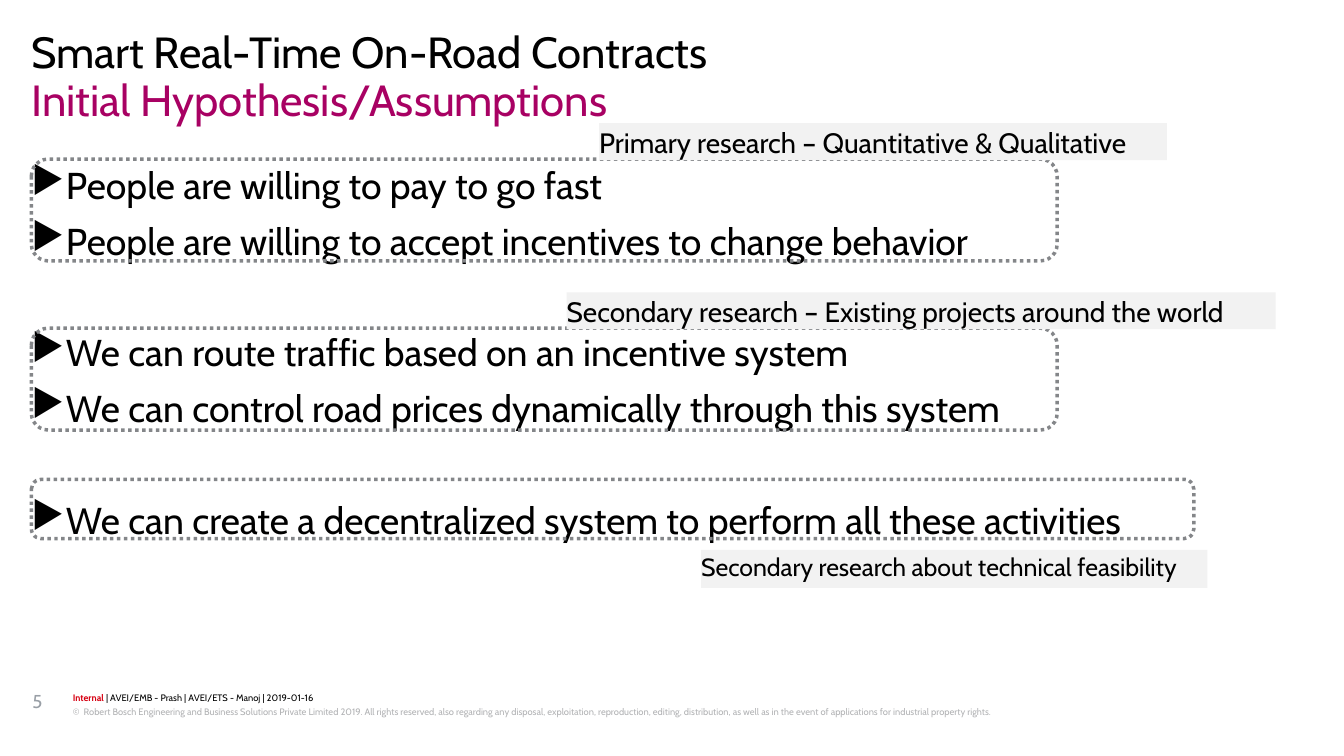
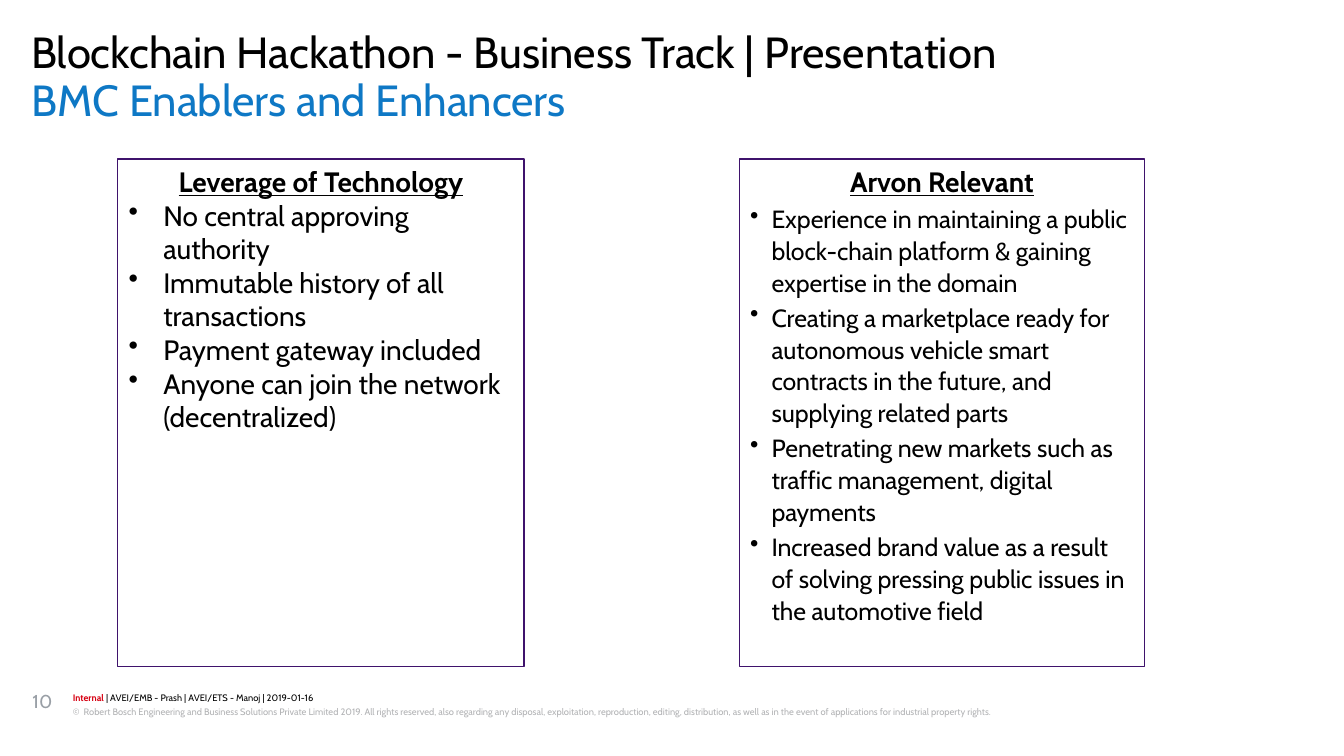
import dataclasses

import lxml.etree
import pptx
import pptx.dml.color
import pptx.enum.dml
import pptx.enum.shapes
import pptx.enum.text
import pptx.oxml.ns
import pptx.util

Inches = pptx.util.Inches
Pt = pptx.util.Pt
Shapes = pptx.enum.shapes.MSO_SHAPE
Align = pptx.enum.text.PP_ALIGN


@dataclasses.dataclass(frozen=True)
class Theme:
    font: str = "Cabin"
    black: str = "000000"
    magenta: str = "A80163"
    blue: str = "0E78C5"
    purple: str = "3F136C"
    red: str = "D70012"
    frame_grey: str = "848689"
    label_grey: str = "F2F2F2"
    number_grey: str = "999FA6"
    legal_grey: str = "B2B3B5"
    title_size: int = 28
    body_size: int = 24
    panel_size: int = 18
    small_size: int = 16
    number_size: int = 12
    footer_size: int = 6
    title_spacing: float = 0.89
    spacing: float = 1.07
    left: float = 0.28
    width: float = 11.43
    top: float = 1.42


THEME = Theme()
OWNERS = "| AVEI/EMB - Prash | AVEI/ETS - Manoj | 2019-01-16"
LEGAL = (
    "©  Robert Bosch Engineering and Business Solutions Private Limited 2019. "
    "All rights reserved, also regarding any disposal, exploitation, reproduction, "
    "editing, distribution, as well as in the event of applications for industrial "
    "property rights."
)


def rgb(value):
    return pptx.dml.color.RGBColor.from_string(value)


def write(tf, text, size, color=THEME.black, bold=False, underline=False,
          align=Align.LEFT, spacing=1.0, before=0, after=0, bullet=None,
          indent=0, same_line=False):
    """Add a paragraph, or with same_line a run to the last paragraph."""
    p = tf.paragraphs[-1]
    if not same_line:
        if p.runs:
            p = tf.add_paragraph()
            p.space_before = Pt(before)
        if bullet:
            pPr = p._p.get_or_add_pPr()
            pPr.set("marL", str(Inches(indent)))
            pPr.set("indent", str(-Inches(indent)))
            lxml.etree.SubElement(pPr, pptx.oxml.ns.qn("a:buChar"), char=bullet)
        p.alignment = align
        p.line_spacing = spacing
        p.space_after = Pt(after)
    r = p.add_run()
    r.text = text
    r.font.name = THEME.font
    r.font.size = Pt(size)
    r.font.bold = bold
    r.font.underline = underline
    r.font.color.rgb = rgb(color)


class Deck:
    def __init__(self, theme):
        self.theme = theme
        self.prs = pptx.Presentation()
        self.prs.slide_width = Inches(12)
        self.prs.slide_height = Inches(6.75)
        self.s = None

    def frame(self, sp, inset=(0, 0)):
        """Prepare a shape's text frame; inset is (sides, top and bottom)."""
        tf = sp.text_frame
        tf.word_wrap = True
        tf.auto_size = pptx.enum.text.MSO_AUTO_SIZE.NONE
        tf.vertical_anchor = pptx.enum.text.MSO_ANCHOR.TOP
        tf.margin_left = tf.margin_right = Inches(inset[0])
        tf.margin_top = tf.margin_bottom = Inches(inset[1])
        return tf

    def text_box(self, x, y, w, h):
        return self.frame(self.s.shapes.add_textbox(
            Inches(x), Inches(y), Inches(w), Inches(h)))

    def shape(self, kind, x, y, w, h, fill=None, line=None, weight=0.75):
        sp = self.s.shapes.add_shape(
            kind, Inches(x), Inches(y), Inches(w), Inches(h))
        sp.shadow.inherit = False
        if fill:
            sp.fill.solid()
            sp.fill.fore_color.rgb = rgb(fill)
        else:
            sp.fill.background()
        if line:
            sp.line.color.rgb = rgb(line)
            sp.line.width = Pt(weight)
        else:
            sp.line.fill.background()
        return sp

    def slide(self, number, topic, title, title_color):
        t = self.theme
        self.s = self.prs.slides.add_slide(self.prs.slide_layouts[5])
        sp = self.s.shapes.title
        sp.left, sp.top = Inches(t.left), Inches(0.71)
        sp.width, sp.height = Inches(t.width), Inches(0.42)
        write(self.frame(sp), title, t.title_size, title_color,
              spacing=t.title_spacing)
        write(self.text_box(t.left, 0.28, t.width, 0.42), topic, t.title_size,
              spacing=t.title_spacing)
        self.footer(number)

    def footer(self, number):
        t = self.theme
        tf = self.text_box(0.65, 6.17, 10.01, 0.12)
        write(tf, "Internal ", t.footer_size, t.red, bold=True,
              spacing=t.spacing, after=1)
        write(tf, OWNERS, t.footer_size, same_line=True)
        write(self.text_box(0.65, 6.3, 10.01, 0.24), LEGAL, t.footer_size,
              t.legal_grey, spacing=t.spacing, after=1)
        write(self.text_box(0.29, 6.16, 0.32, 0.45), str(number),
              t.number_size, t.number_grey)

    def hypotheses(self, groups, group_gap):
        t = self.theme
        tf = self.text_box(t.left, t.top, t.width, 4.56)
        for group in groups:
            for i, text in enumerate(group):
                write(tf, text, t.body_size, spacing=t.spacing,
                      before=5 if i else group_gap, bullet="▶", indent=0.28)

    def dotted_frame(self, y, w, h):
        sp = self.shape(Shapes.ROUNDED_RECTANGLE, self.theme.left, y, w, h,
                        line=self.theme.frame_grey, weight=2.25)
        sp.line.dash_style = pptx.enum.dml.MSO_LINE.ROUND_DOT

    def label(self, text, x, y, w, h, size):
        sp = self.shape(Shapes.RECTANGLE, x, y, w, h, fill=self.theme.label_grey)
        write(self.frame(sp), text, size, spacing=self.theme.spacing)

    def panel(self, x, w, heading, items, size, **item_format):
        t = self.theme
        sp = self.shape(Shapes.RECTANGLE, x, t.top, w, 4.53, line=t.purple)
        tf = self.frame(sp, inset=(0.1, 0.05))
        write(tf, heading, t.panel_size, bold=True, underline=True,
              align=Align.CENTER)
        for item in items:
            write(tf, item, size, bullet="•", **item_format)


def hypothesis_slide(deck):
    t = deck.theme
    deck.slide(5, "Smart Real-Time On-Road Contracts",
               "Initial Hypothesis/Assumptions", t.magenta)
    deck.hypotheses([
        ["People are willing to pay to go fast",
         "People are willing to accept incentives to change behavior"],
        ["We can route traffic based on an incentive system",
         "We can control road prices dynamically through this system"],
        ["We can create a decentralized system to perform all these activities"],
    ], group_gap=41)
    for y, w, h in [(1.42, 9.16, 0.91), (2.93, 9.16, 0.91), (4.28, 10.38, 0.53)]:
        deck.dotted_frame(y, w, h)
    deck.label("Primary research – Quantitative & Qualitative",
               5.35, 1.1, 5.07, 0.33, t.panel_size)
    deck.label("Secondary research – Existing projects around the world",
               5.06, 2.61, 6.33, 0.33, t.panel_size)
    deck.label("Secondary research about technical feasibility",
               6.26, 4.91, 4.52, 0.34, t.small_size)


def enablers_slide(deck):
    t = deck.theme
    deck.slide(10, "Blockchain Hackathon - Business Track | Presentation",
               "BMC Enablers and Enhancers", t.blue)
    deck.panel(1.05, 3.63, "Leverage of Technology", [
        "No central approving authority",
        "Immutable history of all transactions",
        "Payment gateway included",
        "Anyone can join the network (decentralized)",
    ], t.panel_size, indent=0.31)
    deck.panel(6.6, 3.62, "Arvon Relevant", [
        "Experience in maintaining a public block-chain platform & gaining "
        "expertise in the domain",
        "Creating a marketplace ready for autonomous vehicle smart contracts "
        "in the future, and supplying related parts",
        "Penetrating new markets such as traffic management, digital payments",
        "Increased brand value as a result of solving pressing public issues "
        "in the automotive field",
    ], t.small_size, indent=0.19, spacing=t.spacing, before=2)


def main():
    deck = Deck(THEME)
    hypothesis_slide(deck)
    enablers_slide(deck)
    deck.prs.save("out.pptx")


if __name__ == "__main__":
    main()
